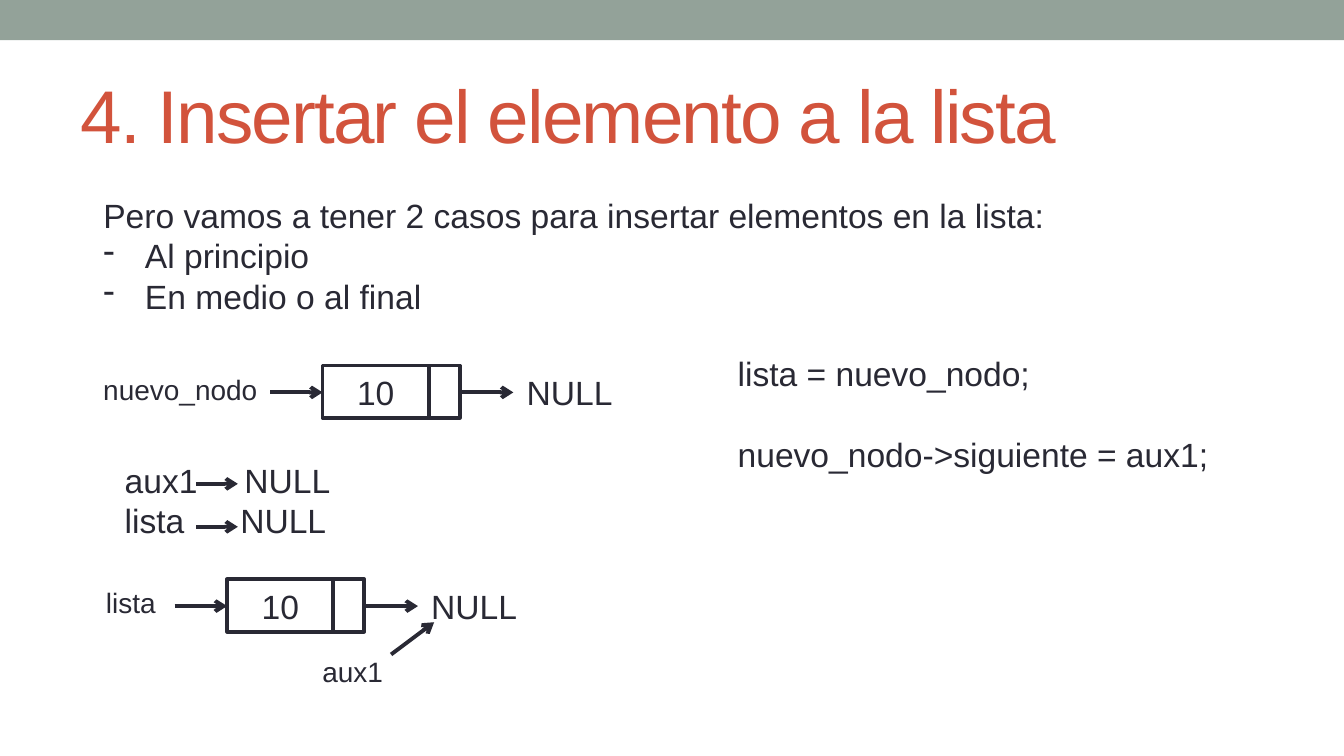
import pptx
import pptx.dml.color
import pptx.enum.shapes
import pptx.enum.text
import pptx.oxml.ns
import pptx.util
from lxml import etree

Inches = pptx.util.Inches
Pt = pptx.util.Pt
qn = pptx.oxml.ns.qn

INK = "292934"
ACCENT = "D2533C"
BAND = "93A299"
WHITE = "FFFFFF"
LINE_WIDTH = 2.08


def color(hex_code):
    return pptx.dml.color.RGBColor.from_string(hex_code)


def add_rect(slide, left, top, width, height, fill, outline=None):
    rect = slide.shapes.add_shape(
        pptx.enum.shapes.MSO_SHAPE.RECTANGLE,
        Inches(left), Inches(top), Inches(width), Inches(height))
    rect.shadow.inherit = False
    rect.fill.solid()
    rect.fill.fore_color.rgb = color(fill)
    if outline:
        rect.line.color.rgb = color(outline)
        rect.line.width = Pt(LINE_WIDTH)
    else:
        rect.line.fill.background()


def add_line(slide, x1, y1, x2, y2, arrow=True):
    line = slide.shapes.add_connector(
        pptx.enum.shapes.MSO_CONNECTOR.STRAIGHT,
        Inches(x1), Inches(y1), Inches(x2), Inches(y2))
    line.line.color.rgb = color(INK)
    line.line.width = Pt(LINE_WIDTH)
    if arrow:
        etree.SubElement(line.line._get_or_add_ln(), qn("a:tailEnd"), type="arrow")
    etree.SubElement(line._element.spPr, qn("a:effectLst"))


def add_text(slide, left, top, width, height, lines, size=18, hex_code=INK):
    """Add a text box and return its paragraphs, one for each line."""
    frame = slide.shapes.add_textbox(
        Inches(left), Inches(top), Inches(width), Inches(height)).text_frame
    frame.word_wrap = True
    for index, line in enumerate(lines):
        paragraph = frame.paragraphs[0] if index == 0 else frame.add_paragraph()
        run = paragraph.add_run()
        run.text = line
        run.font.name = "Arial"
        run.font.size = Pt(size)
        run.font.color.rgb = color(hex_code)
    return frame.paragraphs


def add_dash(paragraph):
    properties = paragraph._p.get_or_add_pPr()
    properties.set("marL", str(Inches(0.31)))
    properties.set("indent", str(-Inches(0.31)))
    etree.SubElement(properties, qn("a:buChar"), char="-")


def add_tab_stop(paragraph, position):
    tabs = etree.SubElement(paragraph._p.get_or_add_pPr(), qn("a:tabLst"))
    etree.SubElement(tabs, qn("a:tab"), pos=str(Inches(position)), algn="l")


def add_title(slide, text):
    title = add_text(slide, 0.5, 0.44, 9, 0.81, [text], 40, ACCENT)[0]
    title.runs[0].font._element.set("spc", "-100")
    slide.shapes[-1].text_frame.vertical_anchor = pptx.enum.text.MSO_ANCHOR.MIDDLE


def add_node(slide, left, top, value):
    """Draw a list node with its incoming pointer and its link to NULL."""
    divider = left + 0.79
    middle = top + 0.2
    add_rect(slide, left, top, 1.02, 0.39, WHITE, INK)
    add_line(slide, divider, top, divider, top + 0.39, arrow=False)
    add_line(slide, left - 0.39, middle, left, middle)
    add_line(slide, left + 1.03, middle, left + 1.42, middle)
    add_text(slide, left + 1.42, top, 0.87, 0.4, ["NULL"])
    number = add_text(slide, left, top, 0.79, 0.4, [value])[0]
    number.alignment = pptx.enum.text.PP_ALIGN.CENTER


def add_null_pointers(slide):
    pointers = add_text(slide, 0.83, 3.37, 2.36, 0.71, ["aux1\tNULL", "lista\tNULL"])
    for paragraph, stop, y in zip(pointers, (0.89, 0.86), (3.6, 3.92)):
        add_tab_stop(paragraph, stop)
        add_line(slide, 1.46, y, 1.77, y)


def main():
    deck = pptx.Presentation()
    deck.slide_width = Inches(10)
    deck.slide_height = deck.slide_width * 9 // 16
    slide = deck.slides.add_slide(deck.slide_layouts[6])

    add_rect(slide, 0, 0, 10, 0.3, BAND)
    add_title(slide, "4. Insertar el elemento a la lista")

    cases = add_text(slide, 0.67, 1.4, 8.98, 1.01, [
        "Pero vamos a tener 2 casos para insertar elementos en la lista:",
        "Al principio",
        "En medio o al final"])
    for case in cases[1:]:
        add_dash(case)

    add_text(slide, 0.67, 2.72, 1.46, 0.35, ["nuevo_nodo"], 15)
    add_node(slide, 2.4, 2.72, "10")

    code = add_text(slide, 5.39, 2.58, 4.02, 1.01,
                    ["lista = nuevo_nodo;", "nuevo_nodo->siguiente = aux1;"])
    code[1].space_before = Pt(21.7)

    add_text(slide, 0.69, 4.31, 0.73, 0.35, ["lista"], 15)
    add_node(slide, 1.69, 4.31, "10")
    add_line(slide, 2.91, 4.87, 3.23, 4.63)
    add_text(slide, 2.3, 4.82, 0.73, 0.35, ["aux1"], 15)

    add_null_pointers(slide)
    deck.save("out.pptx")


if __name__ == "__main__":
    main()
